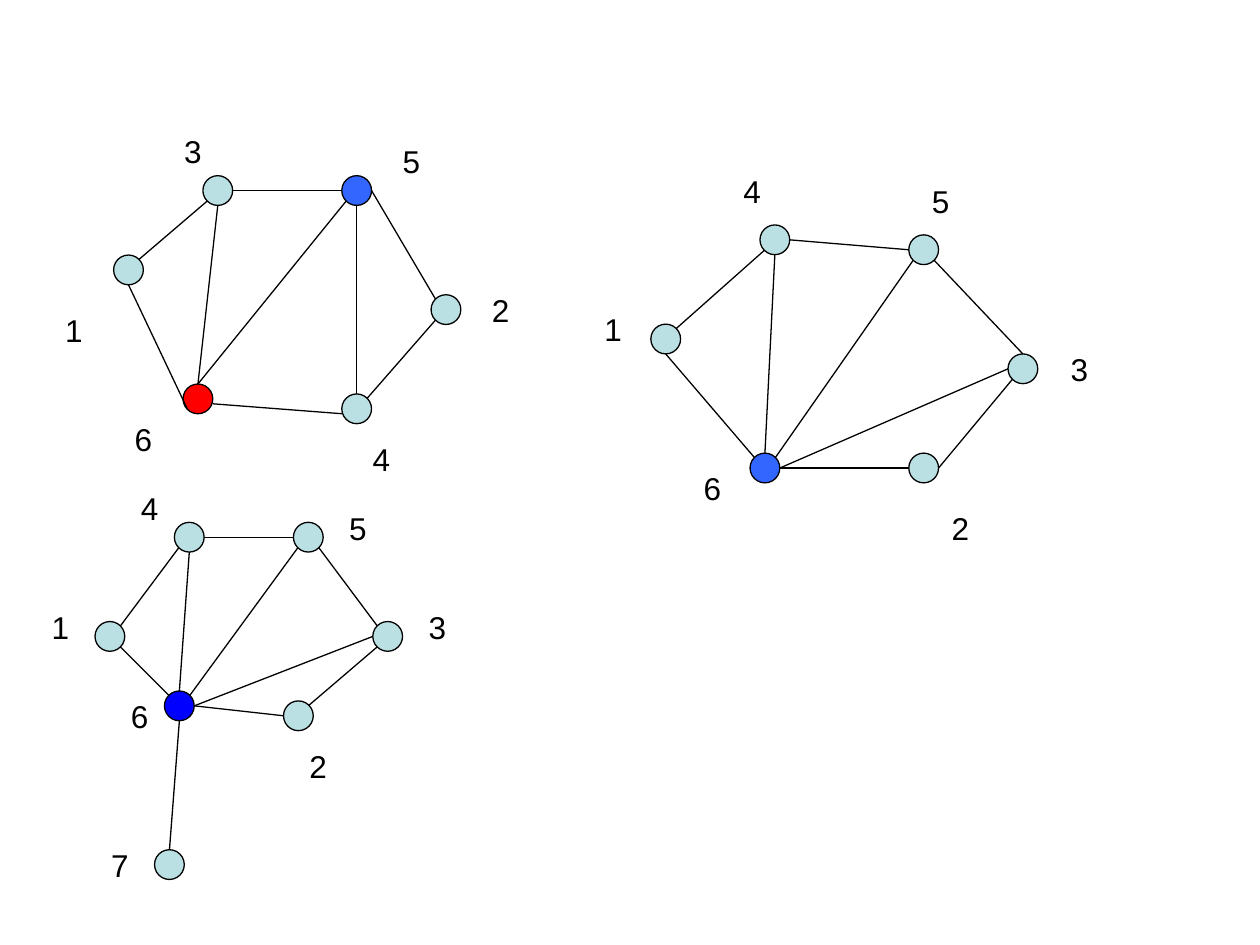
from lxml import etree
from pptx import Presentation
from pptx.dml.color import RGBColor
from pptx.enum.shapes import MSO_CONNECTOR, MSO_SHAPE
from pptx.enum.text import MSO_ANCHOR, PP_ALIGN
from pptx.oxml.ns import qn
from pptx.util import Inches, Mm, Pt

OVAL = MSO_SHAPE.OVAL
STRAIGHT = MSO_CONNECTOR.STRAIGHT
CENTER = PP_ALIGN.CENTER
TOP = MSO_ANCHOR.TOP

CELL = Mm(2)  # grid step shared by all graphs
NODE = 3  # node diameter in cells
LABEL_HEIGHT = 5
BLACK, PALE, BLUE, DEEP_BLUE, RED = "000000", "BBE0E3", "3366FF", "0000FF", "FF0000"

# Points where edges meet a node, in radii from its centre
PORTS = {
    "N": (0, -1), "E": (1, 0), "S": (0, 1), "W": (-1, 0),
    "NE": (0.7, -0.7), "SE": (0.7, 0.7), "SW": (-0.7, 0.7), "NW": (-0.7, -0.7),
    "ESE": (1, 0.33), "WSW": (-1, 0.33),
}

# nodes: name -> (column, row, label column shift, label row shift)
# edges: node and port at either end
GRAPHS = [
    {
        "origin": (0.39, 1.04), "label_width": 6, "wrap": True,
        "nodes": {
            "1": (8, 14, -5.5, 6), "2": (40, 18, 5.5, 0), "3": (17, 6, -2.5, -4),
            "4": (31, 28, 2.5, 5), "5": (31, 6, 5.5, -3), "6": (15, 27, -5.5, 4),
        },
        "fills": {"5": BLUE, "6": RED},
        "edges": "1NE-3SW 3E-5W 5E-2NW 2SW-4NE 4WSW-6ESE 1S-6SW 6N-5SW 3S-6N 4N-5S",
    },
    {
        "origin": (4.89, 1.51), "label_width": 4.3, "wrap": False,
        "nodes": {
            "1": (5, 15, -5.3, -1), "2": (31, 28, 3.7, 6), "3": (41, 18, 5.7, 0),
            "4": (16, 5, -2.3, -5), "5": (31, 6, 1.7, -5), "6": (15, 28, -5.3, 2),
        },
        "fills": {"6": BLUE},
        "edges": "4SW-1NE 1S-6NW 6E-2W 2E-3SW 3N-5SE 5W-4E 4S-6N 5SW-6NE 3W-6E",
    },
    {
        "origin": (0.4, 3.87), "label_width": 5, "wrap": True,
        "nodes": {
            "1": (6, 15, -5, -1), "2": (25, 23, 2, 5), "3": (34, 15, 5, -1),
            "4": (14, 5, -4, -3), "5": (26, 5, 5, -1), "6": (13, 22, -4, 1),
            "7": (12, 38, -5, 0),
        },
        "fills": {"6": DEEP_BLUE},
        "edges": "4SW-1NE 4E-5W 5SE-3NW 3SW-2NE 2W-6E 1SE-6NW 7N-6S 6N-4S 6NE-5SW 6E-3W",
    },
]


def color(value):
    return RGBColor.from_string(value)


def outline(line):
    line.color.rgb = color(BLACK)
    line.width = Pt(0.75)


def add_text(slide, text, box, size=18, font="Arial", fill=BLACK, align=CENTER, wrap=True):
    frame = slide.shapes.add_textbox(*box).text_frame
    frame.word_wrap = wrap
    frame.vertical_anchor = TOP
    paragraph = frame.paragraphs[0]
    paragraph.alignment = align
    run = paragraph.add_run()
    run.text = text
    run.font.size = Pt(size)
    run.font.name = font
    run.font.color.rgb = color(fill)


def add_node(slide, box, fill):
    node = slide.shapes.add_shape(OVAL, *box)
    node.shadow.inherit = False
    node.fill.solid()
    node.fill.fore_color.rgb = color(fill)
    outline(node.line)


def add_edge(slide, start, end):
    edge = slide.shapes.add_connector(STRAIGHT, *start, *end)
    outline(edge.line)
    etree.SubElement(edge._element.spPr, qn("a:effectLst"))


def add_graph(slide, origin, nodes, fills, edges, label_width, wrap):
    """Draw nodes, edges and labels on a grid that starts at origin, in inches."""
    left, top = (Inches(value) for value in origin)

    def point(column, row):
        return int(left + column * CELL), int(top + row * CELL)

    def centered(column, row, width, height):
        return (*point(column - width / 2, row - height / 2),
                int(width * CELL), int(height * CELL))

    def port(name):
        column, row = nodes[name[0]][:2]
        dx, dy = PORTS[name[1:]]
        return point(column + dx * NODE / 2, row + dy * NODE / 2)

    for name, (column, row, _, _) in nodes.items():
        add_node(slide, centered(column, row, NODE, NODE), fills.get(name, PALE))
    for edge in edges.split():
        start, end = edge.split("-")
        add_edge(slide, port(start), port(end))
    for name, (column, row, dx, dy) in nodes.items():
        box = centered(column + dx, row + dy, label_width, LABEL_HEIGHT)
        add_text(slide, name, box, wrap=wrap)


def main():
    deck = Presentation()
    deck.slide_width, deck.slide_height = Inches(10), Inches(7.5)
    slide = deck.slides.add_slide(deck.slide_layouts[6])
    for graph in GRAPHS:
        add_graph(slide, **graph)
    deck.save("out.pptx")


if __name__ == "__main__":
    main()
